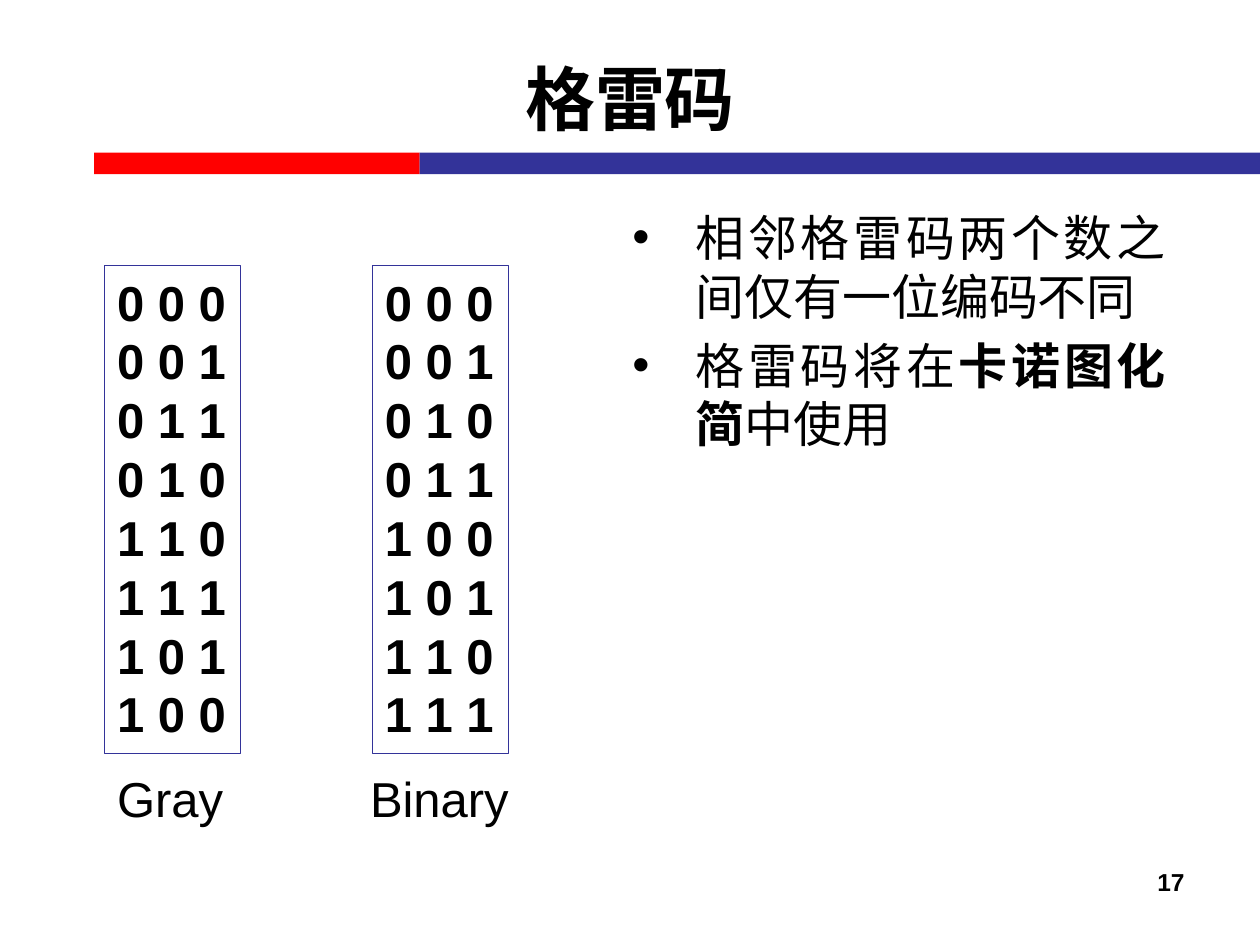
from lxml import etree
from pptx import Presentation
from pptx.dml.color import RGBColor
from pptx.enum import shapes, text
from pptx.oxml.ns import qn
from pptx.util import Cm, Pt

RED = RGBColor(0xFF, 0x00, 0x00)
BLUE = RGBColor(0x33, 0x33, 0x99)
BLACK = RGBColor(0x00, 0x00, 0x00)


def add_run(p, content, size=28, bold=False):
    r = p.add_run()
    r.text = content
    r.font.name = "Arial"
    r.font.size = Pt(size)
    r.font.bold = bold
    r.font.color.rgb = BLACK


def add_rect(left, top, width, height):
    sp = s.shapes.add_shape(shapes.MSO_SHAPE.RECTANGLE, Cm(left), Cm(top), Cm(width), Cm(height))
    sp.shadow.inherit = False
    return sp


prs = Presentation()
prs.slide_width, prs.slide_height = Cm(25.4), Cm(19.05)
s = prs.slides.add_slide(prs.slide_layouts[5])

for left, width, color in [(1.9, 6.56, RED), (8.46, 16.94, BLUE)]:
    sp = add_rect(left, 3.08, width, 0.43)
    sp.fill.solid()
    sp.fill.fore_color.rgb = color
    sp.line.fill.background()

title = s.shapes.title
title.left, title.top, title.width, title.height = Cm(1.27), Cm(0.38), Cm(22.86), Cm(3.18)
tf = title.text_frame
tf.vertical_anchor = text.MSO_ANCHOR.MIDDLE
p = tf.paragraphs[0]
p.alignment = text.PP_ALIGN.CENTER
add_run(p, "格雷码", 40, True)

tf = s.shapes.add_textbox(Cm(18.2), Cm(17.35), Cm(5.93), Cm(1.32)).text_frame
tf.word_wrap = True
p = tf.paragraphs[0]
p.alignment = text.PP_ALIGN.RIGHT
add_run(p, "17", 14, True)

gray = [n ^ (n >> 1) for n in range(8)]
columns = [
    ("Gray", gray, 2.11, 2.11, 2.67),
    ("Binary", range(8), 7.51, 7.21, 3.35),
]
for label, codes, left, label_left, label_width in columns:
    sp = add_rect(left, 5.36, 2.74, 9.83)
    sp.fill.background()
    sp.line.color.rgb = BLUE
    sp.line.width = Pt(0.75)
    tf = sp.text_frame
    tf.word_wrap = False
    tf.vertical_anchor = text.MSO_ANCHOR.TOP
    for i, code in enumerate(codes):
        p = tf.paragraphs[0] if i == 0 else tf.add_paragraph()
        p.alignment = text.PP_ALIGN.LEFT
        add_run(p, " ".join(f"{code:03b}"), bold=True)

    tf = s.shapes.add_textbox(Cm(label_left), Cm(15.37), Cm(label_width), Cm(1.45)).text_frame
    tf.word_wrap = False
    add_run(tf.paragraphs[0], label)

bullets = [
    [("相邻格雷码两个数之间仅有一位编码不同", False)],
    [("格雷码将在", False), ("卡诺图化简", True), ("中使用", False)],
]
tf = s.shapes.add_textbox(Cm(12.5), Cm(4.06), Cm(11.25), Cm(12.7)).text_frame
tf.word_wrap = True
for i, runs in enumerate(bullets):
    p = tf.paragraphs[0] if i == 0 else tf.add_paragraph()
    pPr = p._p.get_or_add_pPr()
    pPr.set("marL", str(Cm(1.27)))
    pPr.set("indent", str(-Cm(1.27)))
    etree.SubElement(pPr, qn("a:buFont")).set("typeface", "Arial")
    etree.SubElement(pPr, qn("a:buChar")).set("char", "•")
    p.alignment = text.PP_ALIGN.JUSTIFY
    if i:
        p.space_before = Pt(5.6)
    for content, bold in runs:
        add_run(p, content, bold=bold)

prs.save("out.pptx")
